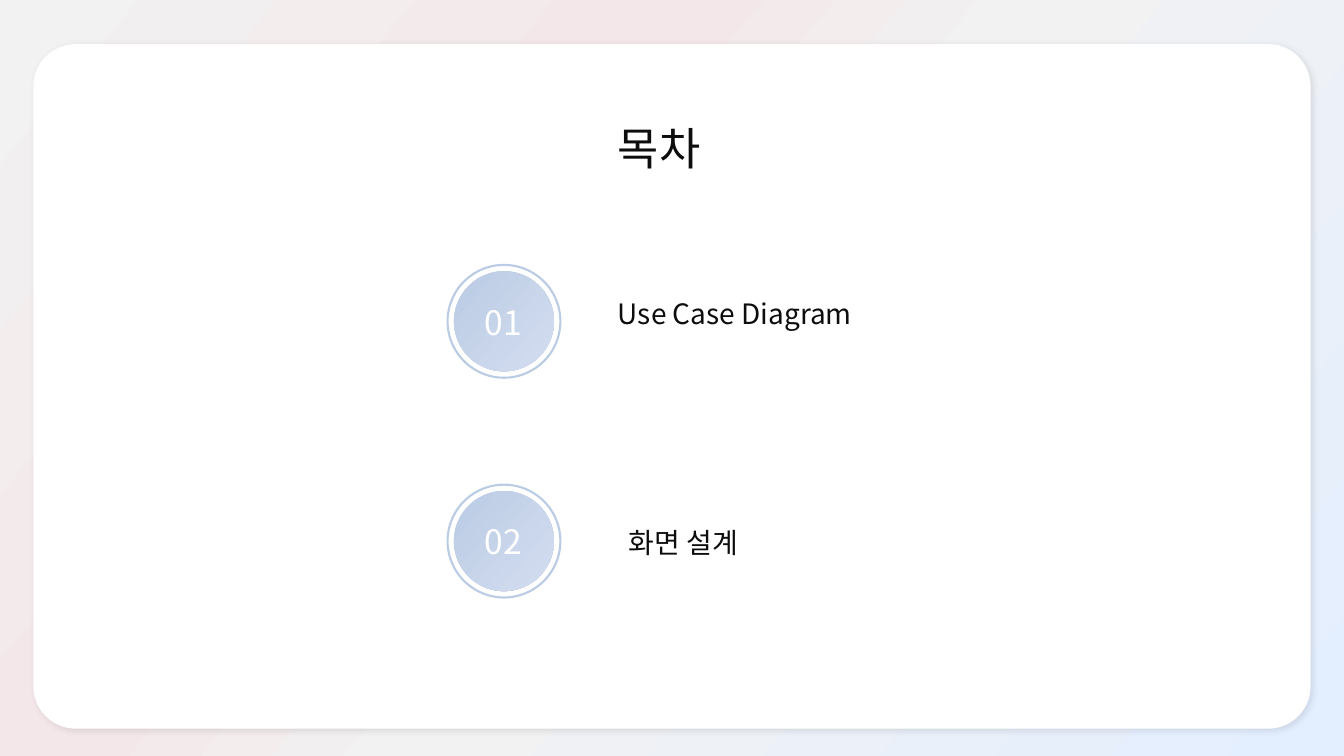
"""Build a contents slide with a title and two numbered topics on a white card."""
from lxml import etree
from pptx import Presentation
from pptx.dml.color import RGBColor
from pptx.enum.shapes import MSO_SHAPE
from pptx.enum.text import MSO_AUTO_SIZE, PP_ALIGN
from pptx.oxml.ns import qn
from pptx.util import Pt

ROUNDED = MSO_SHAPE.ROUNDED_RECTANGLE
OVAL = MSO_SHAPE.OVAL
LEFT, CENTER = PP_ALIGN.LEFT, PP_ALIGN.CENTER
GROW = MSO_AUTO_SIZE.SHAPE_TO_FIT_TEXT

TITLE = ("목차", (434.2, 82.8, 188.6, 45.4))
TOPICS = [
    ("01", "Use Case Diagram", (434.2, 208.1, 216.7, 31)),
    ("02", "화면 설계", (442.1, 371.5, 133.9, 31)),
]
COLORS = {
    "card": "FFFFFF", "ink": "0D0D0D", "badge": "BACBE4",
    "badge_end": "D4DDF0", "number": "FFFFFF", "shadow": "000000",
    "mist": "F2F2F2", "rose": "F3E7E9", "sky": "E3EEFF",
}
BACKDROP = [(0, "mist"), (35, "rose"), (53, "mist"), (100, "sky")]
BADGE_FADE = [(0, "badge"), (100, "badge_end")]
FONT = "Noto Sans CJK KR"
GRADIENT_ANGLE = 40
BADGE_X, BADGE_Y, BADGE_PITCH = 360, 229.5, 157
DISC, RING = 71.5, 80.6
NUMBER_WIDTH, NUMBER_HEIGHT = 59, 35.3


def rgb(name):
    return RGBColor.from_string(COLORS[name])


def points(box):
    return [Pt(value) for value in box]


def centered(x, y, width, height):
    return x - width / 2, y - height / 2, width, height


def add_color(parent, name):
    return etree.SubElement(parent, qn("a:srgbClr"), val=COLORS[name])


def paint_gradient(fill, owner, stops):
    fill.gradient()
    fill.gradient_angle = 360 - GRADIENT_ANGLE
    stop_list = next(owner.iter(qn("a:gsLst")))
    for stop in list(stop_list):
        stop_list.remove(stop)
    for position, name in stops:
        stop = etree.SubElement(stop_list, qn("a:gs"), pos=str(position * 1000))
        add_color(stop, name)


def add_plain(shapes, kind, box):
    shape = shapes.add_shape(kind, *points(box))
    shape.shadow.inherit = False
    shape.line.fill.background()
    return shape


def add_text(shapes, text, box, size, color="ink", align=LEFT):
    frame = shapes.add_textbox(*points(box)).text_frame
    frame.text = text
    frame.word_wrap = True
    frame.auto_size = GROW
    paragraph = frame.paragraphs[0]
    paragraph.alignment = align
    font = paragraph.runs[0].font
    font.size = Pt(size)
    font.color.rgb = rgb(color)
    font.name = FONT
    etree.SubElement(font._element, qn("a:ea"), typeface=FONT)


def add_card(shapes):
    card = add_plain(shapes, ROUNDED, (23.8, 31.5, 912.4, 489))
    card.adjustments[0] = 0.062
    card.fill.solid()
    card.fill.fore_color.rgb = rgb("card")
    effects = card._element.spPr.find(qn("a:effectLst"))
    shadow = etree.SubElement(
        effects, qn("a:outerShdw"), blurRad=str(Pt(5)), dist=str(Pt(3)),
        dir=str(45 * 60000), algn="tl", rotWithShape="0")
    etree.SubElement(add_color(shadow, "shadow"), qn("a:alpha"), val="10000")


def add_badge(shapes, number, y):
    badge = shapes.add_group_shape().shapes
    disc = add_plain(badge, OVAL, centered(BADGE_X, y, DISC, DISC))
    paint_gradient(disc.fill, disc._element, BADGE_FADE)
    ring = add_plain(badge, OVAL, centered(BADGE_X, y, RING, RING))
    ring.fill.background()
    ring.line.color.rgb = rgb("badge")
    ring.line.width = Pt(1.5)
    number_box = centered(BADGE_X - 0.7, y, NUMBER_WIDTH, NUMBER_HEIGHT)
    add_text(badge, number, number_box, 24, "number", CENTER)


def main():
    deck = Presentation()
    deck.slide_width, deck.slide_height = Pt(960), Pt(540)
    slide = deck.slides.add_slide(deck.slide_layouts[6])
    paint_gradient(slide.background.fill, slide.element, BACKDROP)
    add_card(slide.shapes)
    title, title_box = TITLE
    add_text(slide.shapes, title, title_box, 32)
    for row, (number, topic, topic_box) in enumerate(TOPICS):
        add_badge(slide.shapes, number, BADGE_Y + row * BADGE_PITCH)
        add_text(slide.shapes, topic, topic_box, 20)
    deck.save("out.pptx")


if __name__ == "__main__":
    main()
